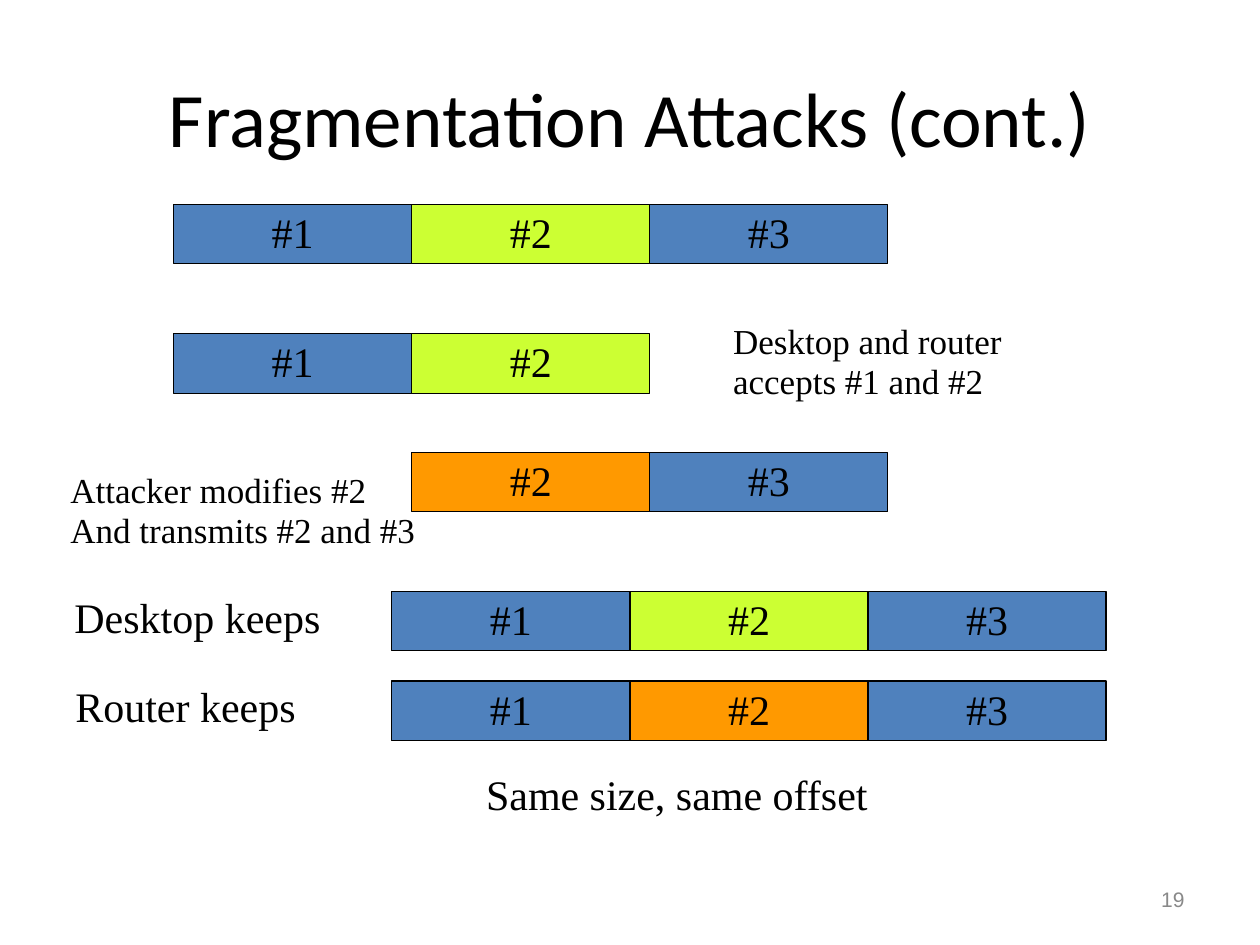
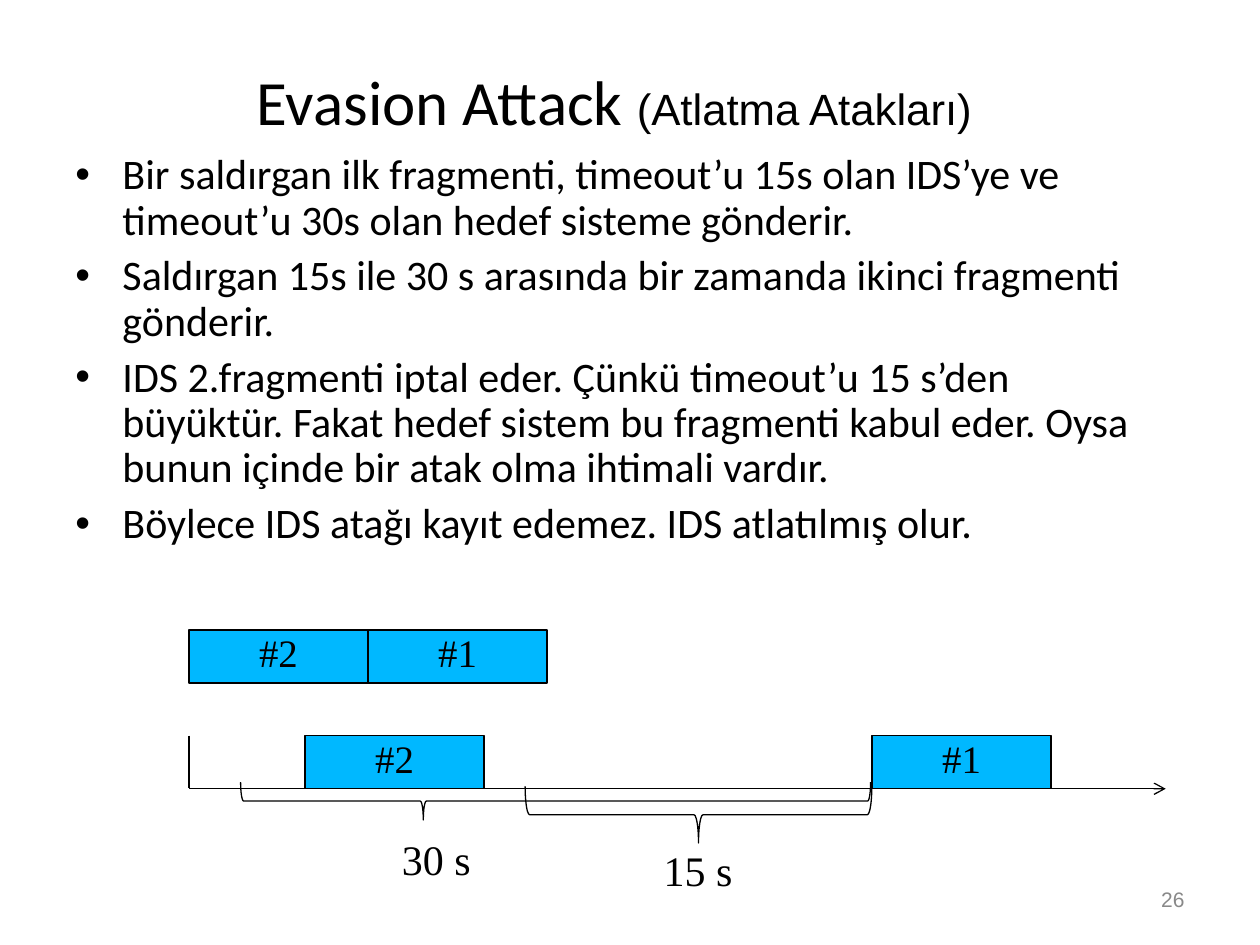
from lxml import etree
from pptx import Presentation
from pptx.dml.color import RGBColor
from pptx.enum.shapes import MSO_CONNECTOR, MSO_SHAPE
from pptx.enum.text import MSO_ANCHOR, MSO_AUTO_SIZE, PP_ALIGN
from pptx.oxml.ns import qn
from pptx.util import Cm, Pt

BLACK = RGBColor(0x00, 0x00, 0x00)
GREY = RGBColor(0x89, 0x89, 0x89)
BLUE = RGBColor(0x4F, 0x81, 0xBD)
LIME = RGBColor(0xCC, 0xFF, 0x33)
ORANGE = RGBColor(0xFF, 0x99, 0x00)
SKY = RGBColor(0x00, 0xB8, 0xFF)
SERIF = "Times New Roman"
HAIRLINE = Pt(0.75)


def write(frame, paragraphs, align=PP_ALIGN.LEFT, spacing=0.95, color=BLACK):
    """Fill a text frame; each paragraph is a list of (text, size, font) runs."""
    for index, runs in enumerate(paragraphs):
        paragraph = frame.add_paragraph() if index else frame.paragraphs[0]
        paragraph.alignment = align
        paragraph.line_spacing = spacing
        for text, size, font in runs:
            run = paragraph.add_run()
            run.text = text
            run.font.size = Pt(size)
            run.font.name = font
            run.font.color.rgb = color


def add_fragment(slide, label, left, top, width, height, fill, size, spacing, anchor):
    fragment = slide.shapes.add_shape(
        MSO_SHAPE.RECTANGLE, Cm(left), Cm(top), Cm(width), Cm(height))
    fragment.shadow.inherit = False
    fragment.fill.solid()
    fragment.fill.fore_color.rgb = fill
    fragment.line.color.rgb = BLACK
    fragment.line.width = HAIRLINE
    fragment.text_frame.vertical_anchor = anchor
    write(fragment.text_frame, [[(label, size, SERIF)]], PP_ALIGN.CENTER, spacing)


prs = Presentation()
prs.slide_width, prs.slide_height = Cm(25.4), Cm(19.05)

# Titles and slide numbers
headings = [
    ([("Fragmentation Attacks (cont.)", 44, "Calibri")],
     (1.27, 0.76, 22.86, 3.18), "19"),
    ([("Evasion Attack ", 36, "Calibri"), ("(Atlatma Atakları)", 25, "Arial")],
     (1.9, 1.07, 20.96, 1.9), "26"),
]
slides = []
for title_runs, box, number in headings:
    slide = prs.slides.add_slide(prs.slide_layouts[5])
    title = slide.shapes.title
    title.left, title.top, title.width, title.height = map(Cm, box)
    title.text_frame.vertical_anchor = MSO_ANCHOR.MIDDLE
    title.text_frame.auto_size = MSO_AUTO_SIZE.NONE
    write(title.text_frame, [title_runs], PP_ALIGN.CENTER, 1.0)

    footer = slide.shapes.add_textbox(Cm(18.21), Cm(17.65), Cm(5.92), Cm(1.02)).text_frame
    footer.word_wrap = True
    footer.vertical_anchor = MSO_ANCHOR.MIDDLE
    write(footer, [[(number, 12, "Arial")]], PP_ALIGN.RIGHT, color=GREY)
    slides.append(slide)
overlap_slide, timeout_slide = slides

# Fragment rows: left, top, fragments
FIRST, SECOND, THIRD = ("#1", BLUE), ("#2", LIME), ("#3", BLUE)
MODIFIED = ("#2", ORANGE)
FRAGMENT_WIDTH, FRAGMENT_HEIGHT = 4.8, 1.2
rows = [
    (3.5, 4.12, [FIRST, SECOND, THIRD]),
    (3.5, 6.73, [FIRST, SECOND]),
    (8.3, 9.12, [MODIFIED, THIRD]),
    (7.9, 11.92, [FIRST, SECOND, THIRD]),
    (7.9, 13.73, [FIRST, MODIFIED, THIRD]),
]
for left, top, fragments in rows:
    for column, (label, fill) in enumerate(fragments):
        add_fragment(overlap_slide, label, left + column * FRAGMENT_WIDTH, top,
                     FRAGMENT_WIDTH, FRAGMENT_HEIGHT, fill, 24, 0.95, MSO_ANCHOR.MIDDLE)

# Labels on both slides, each box wider than its longest line
labels = [
    (overlap_slide, ["Desktop and router", "accepts #1 and #2"], 20, (14.53, 6.38, 7.2, 1.88)),
    (overlap_slide, ["Attacker modifies #2", "And transmits #2 and #3"], 20,
     (1.17, 9.38, 8.2, 1.88)),
    (overlap_slide, ["Desktop keeps"], 24, (1.25, 11.87, 6.4, 1.22)),
    (overlap_slide, ["Router keeps"], 24, (1.27, 13.67, 6.4, 1.22)),
    (overlap_slide, ["Same size, same offset"], 24, (9.55, 15.45, 9, 1.22)),
    (timeout_slide, ["15 s"], 24, (13.13, 16.97, 2.6, 1.22)),
    (timeout_slide, ["30 s"], 24, (7.85, 16.75, 2.6, 1.22)),
]
for slide, lines, size, box in labels:
    frame = slide.shapes.add_textbox(*map(Cm, box)).text_frame
    frame.word_wrap = True
    write(frame, [[(line, size, SERIF)] for line in lines])

# Explanation of the evasion attack
steps = [
    "Bir saldırgan ilk fragmenti, timeout’u 15s olan IDS’ye ve timeout’u 30s olan "
    "hedef sisteme gönderir.",
    "Saldırgan 15s ile 30 s arasında bir zamanda ikinci fragmenti gönderir.",
    "IDS 2.fragmenti iptal eder. Çünkü timeout’u 15 s’den büyüktür. Fakat hedef "
    "sistem bu fragmenti kabul eder. Oysa bunun içinde bir atak olma ihtimali vardır.",
    "Böylece IDS atağı kayıt edemez. IDS atlatılmış olur.",
]
explanation = timeout_slide.shapes.add_textbox(
    Cm(1.27), Cm(2.97), Cm(22.6), Cm(14.05)).text_frame
explanation.word_wrap = True
write(explanation, [[(step, 24, "Calibri")] for step in steps], spacing=0.9)
for index, paragraph in enumerate(explanation.paragraphs):
    paragraph.space_before = Pt(6 if index else 0)
    properties = paragraph._p.get_or_add_pPr()
    properties.set("marL", str(Cm(0.95)))
    properties.set("indent", str(-Cm(0.95)))
    etree.SubElement(properties, qn("a:buFont")).set("typeface", "Arial")
    etree.SubElement(properties, qn("a:buChar")).set("char", "•")

# Fragments as sent, then on the time axis
for label, left, top in [("#2", 3.81, 12.7), ("#1", 7.42, 12.7),
                         ("#2", 6.15, 14.83), ("#1", 17.58, 14.83)]:
    add_fragment(timeout_slide, label, left, top, 3.61, 1.07, SKY, 22.2, 0.85, MSO_ANCHOR.TOP)

# Time axis and its start mark
for x1, y1, x2, y2, has_arrow in [(3.81, 15.9, 23.5, 15.9, True),
                                  (3.81, 14.83, 3.81, 15.88, False)]:
    axis = timeout_slide.shapes.add_connector(
        MSO_CONNECTOR.STRAIGHT, Cm(x1), Cm(y1), Cm(x2), Cm(y2))
    axis.line.color.rgb = BLACK
    axis.line.width = HAIRLINE
    if has_arrow:
        etree.SubElement(axis.line._get_or_add_ln(), qn("a:tailEnd")).set("type", "arrow")
    etree.SubElement(axis._element.spPr, qn("a:effectLst"))

# Timeout spans: unrotated box, position of the tip from the right end
for box, tip in [((13.51, 12.93, 1.14, 6.99), 0.5), ((10.82, 9.8, 0.76, 12.7), 0.71)]:
    span = timeout_slide.shapes.add_shape(MSO_SHAPE.RIGHT_BRACE, *map(Cm, box))
    span.rotation = 90
    span.adjustments[0] = 0.08
    span.adjustments[1] = tip
    span.shadow.inherit = False
    span.fill.background()
    span.line.color.rgb = BLACK
    span.line.width = HAIRLINE

prs.save("out.pptx")
